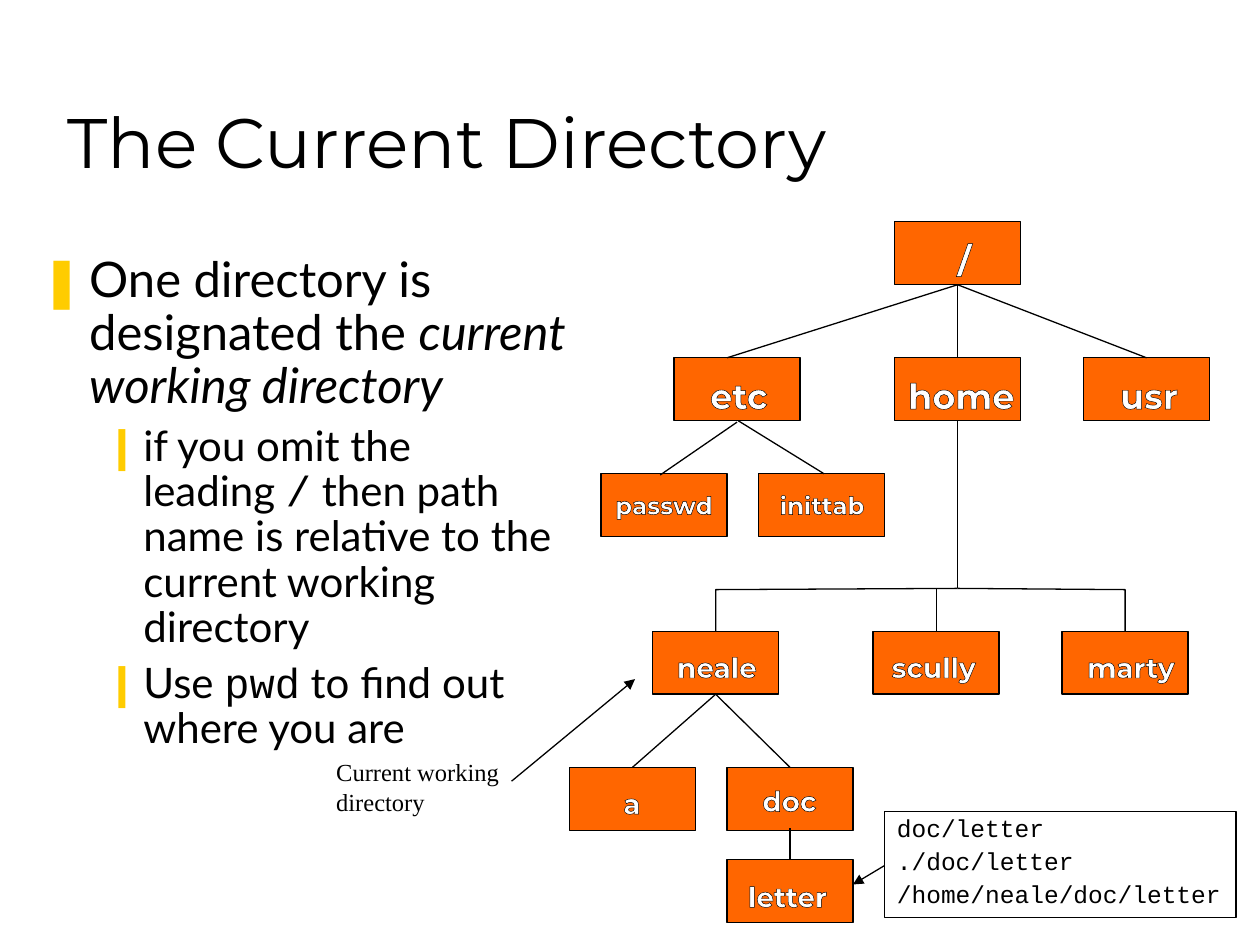
"""Build a slide that explains the current working directory with a file tree."""
import pptx
import pptx.dml.color
import pptx.enum.shapes
import pptx.enum.text
import pptx.oxml.ns
import pptx.util
from lxml import etree
from pptx.util import Inches, Pt

BLACK, WHITE, ORANGE, YELLOW = "000000", "FFFFFF", "FF6600", "FFCC00"
HEAD, BODY, MONO, SERIF = "Montserrat", "Lato", "Courier New", "Times New Roman"
NODE_W, NODE_H = 1, 0.5

TITLE = "The Current Directory"
BULLETS = [
    (0, [("One directory is designated the ", BODY, False),
         ("current working directory", BODY, True)]),
    (1, [("if you omit the leading ", BODY, False), ("/", MONO, False),
         (" then path name is relative to the current working directory", BODY, False)]),
    (1, [("Use ", BODY, False), ("pwd", MONO, False),
         (" to find out where you are", BODY, False)]),
]
LEVELS = [
    {"char": "❚", "size": 28, "margin": 0.38, "hang": 0.38, "before": 7},
    {"char": "❙", "size": 24, "margin": 0.81, "hang": 0.31, "before": 6},
]
LABEL_HEIGHTS = {20: 0.4, 16: 0.31, 14: 0.28}
ROWS = [
    (1.76, 0.08, 20, [("/", 7.1, 7.6, 0.1)]),
    (2.84, 0.08, 20, [("etc", 5.35, 5.6, 0.53), ("home", 7.1, 7.18, 0.9),
                      ("usr", 8.6, 8.85, 0.54)]),
    (3.76, 0.08, 14, [("passwd", 4.77, 4.85, 0.84), ("inittab", 6.02, 6.18, 0.69)]),
    (5.01, 0.1, 16, [("neale", 5.18, 5.36, 0.66), ("scully", 6.93, 7.02, 0.78),
                     ("marty", 8.43, 8.6, 0.75)]),
    (6.09, 0.1, 16, [("a", 4.52, 4.93, 0.17)]),
    (6.09, 0.08, 16, [("doc", 5.77, 6.02, 0.49)]),
    (6.82, 0.11, 16, [("letter", 5.77, 5.86, 0.78)]),
]
BRANCHES = [
    (5.85, 3.35, 5.24, 3.77), (5.86, 3.34, 6.54, 3.76),
    (7.6, 2.26, 7.6, 2.84), (5.77, 2.84, 7.6, 2.26), (7.6, 2.26, 9.1, 2.84),
    (7.6, 3.34, 7.6, 4.67), (7.43, 5.01, 7.43, 4.67),
    (5.68, 5.51, 5.02, 6.09), (5.68, 5.51, 6.27, 6.09), (6.27, 6.82, 6.27, 6.57),
]
ELBOWS = [
    [(5.68, 5.01), (5.68, 4.68), (7.6, 4.67)],
    [(7.6, 4.67), (8.93, 4.68), (8.93, 5.01)],
]
ARROWS = [(4.06, 6.2, 5.04, 5.39), (7.02, 6.87, 6.77, 7.02)]
NOTE = "Current working directory"
PATHS = ["doc/letter", "./doc/letter", "/home/neale/doc/letter"]


def rgb(color):
    return pptx.dml.color.RGBColor.from_string(color)


def add_xml(parent, tag, **attrs):
    return etree.SubElement(parent, pptx.oxml.ns.qn(tag), attrs)


def style(r, size, font, color=BLACK, bold=False, italic=False):
    r.font.size, r.font.name = Pt(size), font
    r.font.bold, r.font.italic = bold, italic
    r.font.color.rgb = rgb(color)


def add_text(s, box, text, size, font, color=BLACK, bold=False, wrap=True):
    sp = s.shapes.add_textbox(*map(Inches, box))
    tf = sp.text_frame
    tf.word_wrap = wrap
    tf.text = text
    for r in tf.paragraphs[0].runs:
        style(r, size, font, color, bold)
    return tf


def set_line(sp):
    sp.line.color.rgb = rgb(BLACK)
    sp.line.width = Pt(0.75)


def add_rect(s, box, fill=None):
    sp = s.shapes.add_shape(pptx.enum.shapes.MSO_SHAPE.RECTANGLE, *map(Inches, box))
    sp.shadow.inherit = False
    if fill:
        sp.fill.solid()
        sp.fill.fore_color.rgb = rgb(fill)
    else:
        sp.fill.background()
    set_line(sp)
    return sp


def add_line(s, ends, arrow=False):
    sp = s.shapes.add_connector(pptx.enum.shapes.MSO_CONNECTOR.STRAIGHT, *map(Inches, ends))
    set_line(sp)
    if arrow:
        add_xml(sp.line._get_or_add_ln(), "a:tailEnd", type="triangle")
    add_xml(sp._element.spPr, "a:effectLst")


def add_elbow(s, points):
    start, *rest = [(Inches(x), Inches(y)) for x, y in points]
    builder = s.shapes.build_freeform(*start)
    builder.add_line_segments(rest, close=False)
    sp = builder.convert_to_shape()
    sp.shadow.inherit = False
    sp.fill.background()
    set_line(sp)


def add_node(s, top, offset, size, name, left, label_left, label_width):
    add_rect(s, (left, top, NODE_W, NODE_H), ORANGE)
    box = (label_left, top + offset, label_width, LABEL_HEIGHTS[size])
    tf = add_text(s, box, name, size, HEAD, WHITE, bold=True, wrap=False)
    tf.margin_left = tf.margin_right = 0
    p = tf.paragraphs[0]
    p.alignment = pptx.enum.text.PP_ALIGN.CENTER
    rpr = p.runs[0].font._element
    ln = add_xml(rpr, "a:ln", w=str(Pt(0.75)))
    add_xml(add_xml(ln, "a:solidFill"), "a:srgbClr", val=BLACK)
    rpr.insert(0, ln)


def add_bullets(s):
    tf = s.shapes.add_textbox(*map(Inches, (0.23, 1.98, 4.39, 4.56))).text_frame
    tf.word_wrap = True
    for i, (level, runs) in enumerate(BULLETS):
        look = LEVELS[level]
        p = tf.add_paragraph() if i else tf.paragraphs[0]
        p.level, p.line_spacing = level, 0.9
        if i:
            p.space_before = Pt(look["before"])
        ppr = p._p.get_or_add_pPr()
        ppr.set("marL", str(Inches(look["margin"])))
        ppr.set("indent", str(-Inches(look["hang"])))
        add_xml(add_xml(ppr, "a:buClr"), "a:srgbClr", val=YELLOW)
        add_xml(ppr, "a:buSzPct", val="100000")
        add_xml(ppr, "a:buFont", typeface=BODY)
        add_xml(ppr, "a:buChar", char=look["char"])
        p.font.size = Pt(look["size"])
        for text, font, italic in runs:
            r = p.add_run()
            r.text = text
            style(r, look["size"], font, italic=italic)


def add_paths(s):
    tf = add_rect(s, (7.02, 6.44, 2.79, 0.84)).text_frame
    tf.word_wrap = True
    tf.vertical_anchor = pptx.enum.text.MSO_ANCHOR.TOP
    tf.margin_top, tf.margin_bottom = Inches(0.15), Inches(0.1)
    tf.text = "\n".join(PATHS)
    for i, p in enumerate(tf.paragraphs):
        p.alignment = pptx.enum.text.PP_ALIGN.LEFT
        p.line_spacing, p.space_after = 0.3, Pt(5)
        if i:
            p.space_before = Pt(8.8)
        style(p.runs[0], 14, MONO)


def main():
    prs = pptx.Presentation()
    prs.slide_width, prs.slide_height = Inches(10), Inches(7.5)
    s = prs.slides.add_slide(prs.slide_layouts[6])
    tf = add_text(s, (0.44, 0.25, 8.5, 1.25), TITLE, 40, HEAD)
    tf.vertical_anchor = pptx.enum.text.MSO_ANCHOR.BOTTOM
    add_bullets(s)
    for top, offset, size, nodes in ROWS:
        for node in nodes:
            add_node(s, top, offset, size, *node)
    for ends in BRANCHES:
        add_line(s, ends)
    for points in ELBOWS:
        add_elbow(s, points)
    add_text(s, (2.57, 5.96, 1.5, 0.57), NOTE, 14, SERIF)
    add_paths(s)
    for ends in ARROWS:
        add_line(s, ends, arrow=True)
    prs.save("out.pptx")


if __name__ == "__main__":
    main()
